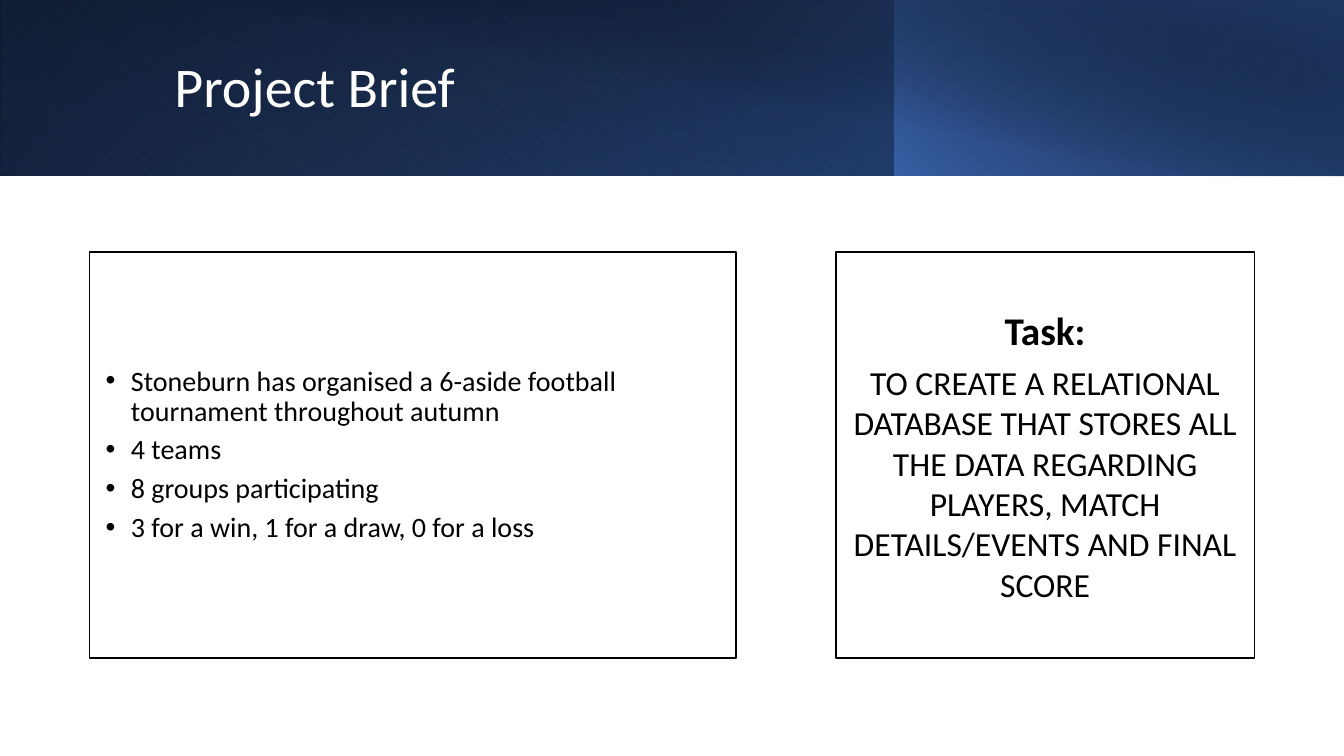
import pptx
import pptx.util
import pptx.dml.color
import pptx.enum.shapes
import pptx.enum.text
import pptx.oxml
import pptx.oxml.ns
import lxml.etree

Inches = pptx.util.Inches
Pt = pptx.util.Pt
qn = pptx.oxml.ns.qn
RECTANGLE = pptx.enum.shapes.MSO_SHAPE.RECTANGLE
ALIGN = pptx.enum.text.PP_ALIGN


def color(value):
    return pptx.dml.color.RGBColor.from_string(value)


def style_runs(paragraph, size, value, bold=False):
    for run in paragraph.runs:
        run.font.name = "Calibri"
        run.font.size = Pt(size)
        run.font.bold = bold
        run.font.color.rgb = color(value)


presentation = pptx.Presentation()
presentation.slide_width = Inches(13.33)
presentation.slide_height = Inches(7.5)
slide = presentation.slides.add_slide(presentation.slide_layouts[5])

bands = [
    (0, 13.33, 1.74, 0, True, 140, [(0, "000000", 100), (100, "2F5597", 100)]),
    (0, 8.88, 1.74, 180, True, 230, [(20, "4472C4", 0), (100, "203864", 55)]),
    (8.87, 4.46, 1.74, 0, True, 220, [(0, "4472C4", 66), (100, "000000", 30)]),
    (0.5, 12.83, 1.75, 0, False, 280, [(50, "000000", 0), (99, "203864", 52)]),
]
for left, width, height, rotation, flipped, angle, stops in bands:
    band = slide.shapes.add_shape(RECTANGLE, Inches(left), 0, Inches(width), Inches(height))
    band.shadow.inherit = False
    band.line.fill.background()
    band.rotation = rotation
    properties = band._element.spPr
    if flipped:
        properties.find(qn("a:xfrm")).set("flipH", "1")
    gradient = lxml.etree.Element(qn("a:gradFill"), rotWithShape="1")
    stop_list = lxml.etree.SubElement(gradient, qn("a:gsLst"))
    for position, value, opacity in stops:
        stop = lxml.etree.SubElement(stop_list, qn("a:gs"), pos=str(position * 1000))
        stop_color = lxml.etree.SubElement(stop, qn("a:srgbClr"), val=value)
        if opacity < 100:
            lxml.etree.SubElement(stop_color, qn("a:alpha"), val=str(opacity * 1000))
    lxml.etree.SubElement(gradient, qn("a:lin"), ang=str(angle * 60000), scaled="0")
    properties.find(qn("a:prstGeom")).addnext(gradient)

title = slide.shapes.title
slide.shapes._spTree.append(title._element)
title.left, title.top = Inches(1.5), Inches(0.32)
title.width, title.height = Inches(10.82), Inches(1.13)
title.text_frame.text = "Project Brief"
title.text_frame.auto_size = pptx.enum.text.MSO_AUTO_SIZE.NONE
title.text_frame.vertical_anchor = pptx.enum.text.MSO_ANCHOR.MIDDLE
title.text_frame.margin_left = Inches(0.23)
heading = title.text_frame.paragraphs[0]
heading.alignment = ALIGN.LEFT
heading.line_spacing = 0.9
style_runs(heading, 40, "FFFFFF")

facts = [
    "Stoneburn has organised a 6-aside football tournament throughout autumn",
    "4 teams",
    "8 groups participating",
    "3 for a win, 1 for a draw, 0 for a loss",
]
task = [
    "Task:",
    "TO CREATE A RELATIONAL DATABASE THAT STORES ALL THE DATA REGARDING "
    "PLAYERS, MATCH DETAILS/EVENTS AND FINAL SCORE",
]
frames = []
for left, width, lines in [(0.89, 6.41, facts), (8.29, 4.15, task)]:
    card = slide.shapes.add_shape(RECTANGLE, Inches(left), Inches(2.5), Inches(width), Inches(4.03))
    card.shadow.inherit = False
    card.fill.solid()
    card.fill.fore_color.rgb = color("FFFFFF")
    card.line.color.rgb = color("000000")
    card.line.width = Pt(1)
    frame = card.text_frame
    frame.word_wrap = True
    frame.vertical_anchor = pptx.enum.text.MSO_ANCHOR.MIDDLE
    frame.text = "\n".join(lines)
    for paragraph in frame.paragraphs:
        paragraph.space_after = Pt(6)
    frames.append(frame)

facts_frame, task_frame = frames
for paragraph in facts_frame.paragraphs:
    paragraph.alignment = ALIGN.LEFT
    paragraph.line_spacing = 0.9
    style_runs(paragraph, 20, "000000")
    paragraph_properties = paragraph._p.get_or_add_pPr()
    paragraph_properties.set("marL", str(Inches(0.31)))
    paragraph_properties.set("indent", str(Inches(-0.25)))
    lxml.etree.SubElement(paragraph_properties, qn("a:buFont"), typeface="Arial")
    lxml.etree.SubElement(paragraph_properties, qn("a:buChar"), char="•")

for paragraph, size, bold in zip(task_frame.paragraphs, (28, 24), (True, False)):
    paragraph.alignment = ALIGN.CENTER
    style_runs(paragraph, size, "000000", bold)

presentation.save("out.pptx")
